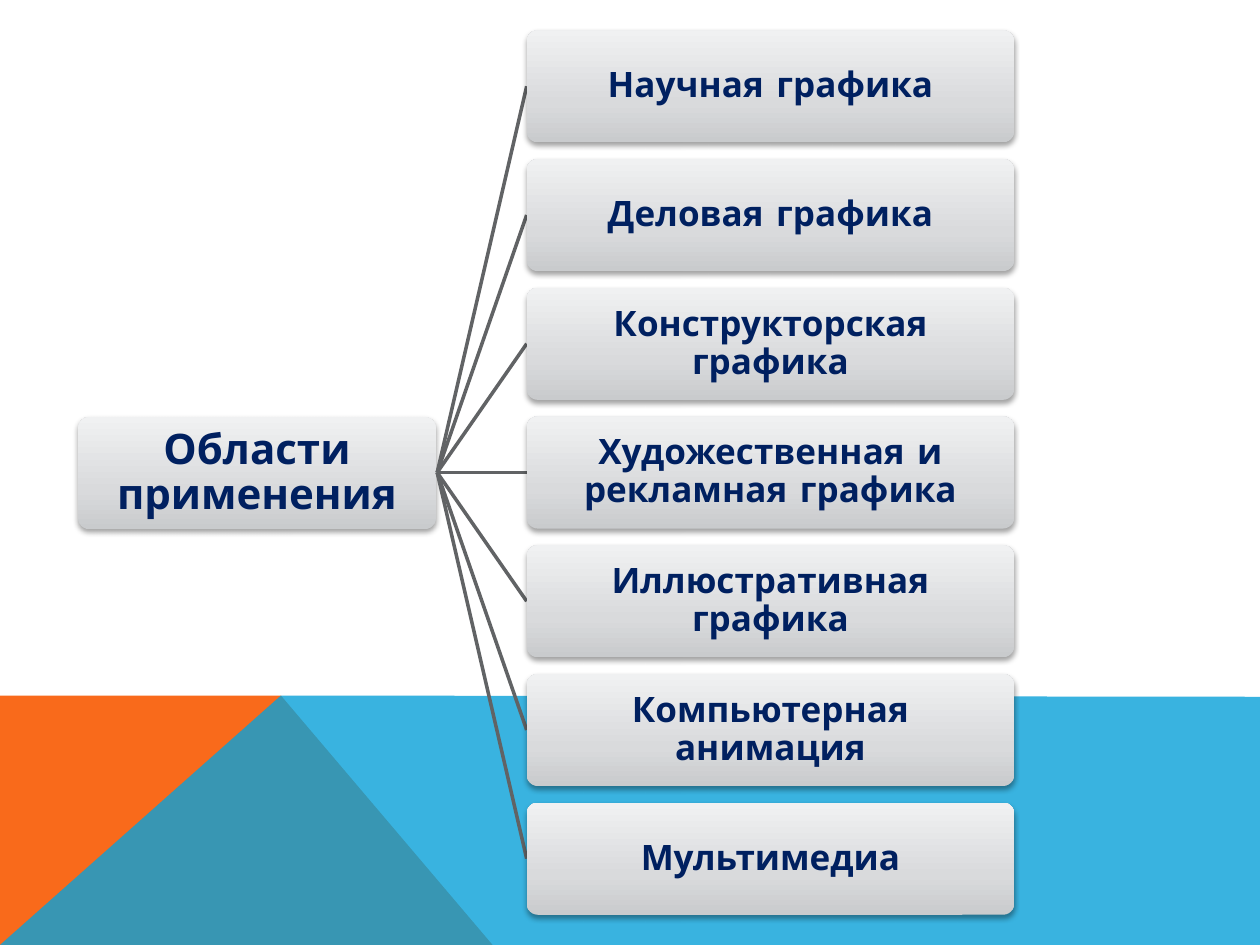
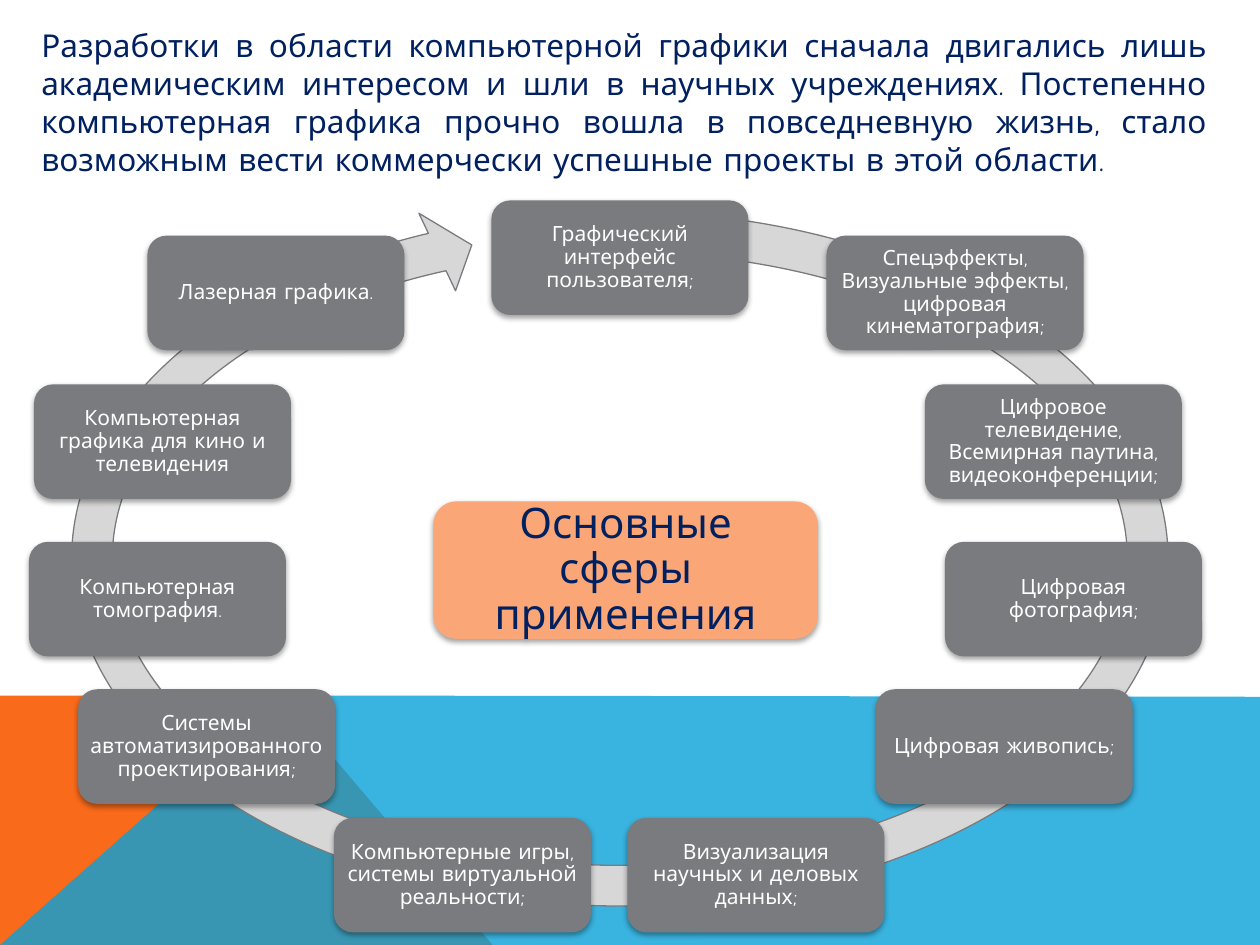
from copy import deepcopy
from lxml.etree import SubElement
from pptx import Presentation
from pptx.dml.color import RGBColor
from pptx.enum.shapes import MSO_CONNECTOR, MSO_SHAPE
from pptx.enum.text import MSO_ANCHOR, MSO_AUTO_SIZE, PP_ALIGN
from pptx.oxml.ns import qn
from pptx.util import Inches, Pt

FONT = "Comic Neue"
HEX = {
    "orange": "F96A1B", "blue": "08A1D9", "navy": "002060", "white": "FFFFFF",
    "grey": "797B7E", "pale": "D7D7D8", "peach": "FBA676", "line": "616365",
    "low": "C9CBCD", "mid": "D9DADC", "high": "F0F1F2",
}
RGB = {name: RGBColor.from_string(code) for name, code in HEX.items()}


def write(frame, text, size, color, align, bold=False):
    frame.word_wrap = True
    para = frame.paragraphs[0]
    para.text = text
    para.alignment = align
    para.font.name = FONT
    para.font.size = Pt(size)
    para.font.bold = bold
    para.font.color.rgb = RGB[color]
    return para


def card(slide, box, text, size, color, fill=None, inset=0.05):
    shape = slide.shapes.add_shape(MSO_SHAPE.ROUNDED_RECTANGLE, *map(Inches, box))
    shape.line.fill.background()
    if fill:
        shape.fill.solid()
        shape.fill.fore_color.rgb = RGB[fill]
    else:
        shape.adjustments[0] = 0.1
        shape.fill.gradient()
        shape.fill.gradient_angle = 90
        first = shape._element.spPr.find(".//" + qn("a:gs"))
        first.addnext(deepcopy(first))
        stops = zip(shape.fill.gradient_stops, (0, 0.35, 1), ("low", "mid", "high"))
        for stop, place, tone in stops:
            stop.position = place
            stop.color.rgb = RGB[tone]
    shape.shadow.inherit = False
    glow = SubElement(shape._element.spPr.find(qn("a:effectLst")), qn("a:outerShdw"),
                      blurRad="40000", dist="22000", dir="5400000", rotWithShape="0")
    black = SubElement(glow, qn("a:srgbClr"), val="000000")
    SubElement(black, qn("a:alpha"), val="36000")
    frame = shape.text_frame
    frame.vertical_anchor = MSO_ANCHOR.MIDDLE
    frame.margin_left = frame.margin_right = Inches(inset)
    frame.margin_top = frame.margin_bottom = Inches(inset)
    para = write(frame, text, size, color, PP_ALIGN.CENTER, bold=not fill)
    para.line_spacing = 0.9


deck = Presentation()
deck.slide_width = Inches(10)
deck.slide_height = Inches(7.5)

bands = [
    ("orange", [(0, 7.5), (0, 5.52), (2.23, 5.52), (3.91, 7.5)]),
    ("blue", [(0, 7.5), (2.23, 5.52), (10, 5.53), (10, 7.5)]),
]
slides = [deck.slides.add_slide(deck.slide_layouts[6]) for _ in range(2)]
for slide in slides:
    for tone, points in bands:
        spots = [(Inches(x), Inches(y)) for x, y in points]
        path = slide.shapes.build_freeform(*spots[0])
        path.add_line_segments(spots[1:])
        band = path.convert_to_shape()
        band.shadow.inherit = False
        band.line.fill.background()
        band.fill.solid()
        band.fill.fore_color.rgb = RGB[tone]
        if tone == "blue":
            fill = band._element.spPr.find(qn("a:solidFill"))
            SubElement(fill[0], qn("a:alpha"), val="80000")

tree, cycle = slides

areas = [
    "Научная графика", "Деловая графика", "Конструкторская графика",
    "Художественная и рекламная графика", "Иллюстративная графика",
    "Компьютерная анимация", "Мультимедиа",
]
high = 0.89
step = 6.13 / 6
card(tree, (0.62, 3.31, 2.84, high), "Области применения", 24, "navy", inset=0.02)
for row, area in enumerate(areas):
    top = 0.24 + row * step
    link = tree.shapes.add_connector(
        MSO_CONNECTOR.STRAIGHT, Inches(3.47), Inches(3.75),
        Inches(4.18), Inches(top + high / 2))
    link.line.color.rgb = RGB["line"]
    link.line.width = Pt(2)
    SubElement(link._element.spPr, qn("a:effectLst"))
    card(tree, (4.18, top, 3.87, high), area, 20, "navy", inset=0.01)

intro = cycle.shapes.add_textbox(Inches(0.23), Inches(0.16), Inches(9.45), Inches(1.31))
intro.text_frame.auto_size = MSO_AUTO_SIZE.SHAPE_TO_FIT_TEXT
write(intro.text_frame,
      "Разработки в области компьютерной графики сначала двигались лишь "
      "академическим интересом и шли в научных учреждениях. Постепенно "
      "компьютерная графика прочно вошла в повседневную жизнь, стало "
      "возможным вести коммерчески успешные проекты в этой области.",
      18, "navy", PP_ALIGN.JUSTIFY)

ring = cycle.shapes.add_shape(
    MSO_SHAPE.CIRCULAR_ARROW, Inches(0.39), Inches(1.5), Inches(9.06), Inches(5.87))
for spot, value in enumerate((0.055, 3.307, 143.536, 170.435, 0.058)):
    ring.adjustments[spot] = value
ring.shadow.inherit = False
ring.fill.solid()
ring.fill.fore_color.rgb = RGB["pale"]
ring.line.color.rgb = RGB["grey"]
ring.line.width = Pt(0.75)

fields = [
    (3.9, 1.59, "Графический интерфейс пользователя;"),
    (6.56, 1.87, "Спецэффекты, Визуальные эффекты, цифровая кинематография;"),
    (7.34, 3.05, "Цифровое телевидение, Всемирная паутина, видеоконференции;"),
    (7.5, 4.3, "Цифровая фотография;"),
    (6.95, 5.47, "Цифровая живопись;"),
    (4.98, 6.49, "Визуализация научных и деловых данных;"),
    (2.65, 6.49, "Компьютерные игры, системы виртуальной реальности;"),
    (0.62, 5.47, "Системы автоматизированного проектирования;"),
    (0.23, 4.3, "Компьютерная томография."),
    (0.27, 3.05, "Компьютерная графика для кино и телевидения"),
    (1.17, 1.87, "Лазерная графика."),
]
for left, top, text in fields:
    card(cycle, (left, top, 2.04, 0.91), text, 12, "white", "grey")
card(cycle, (3.44, 3.98, 3.05, 1.09), "Основные сферы применения", 24, "navy", "peach", 0.07)

deck.save("out.pptx")
